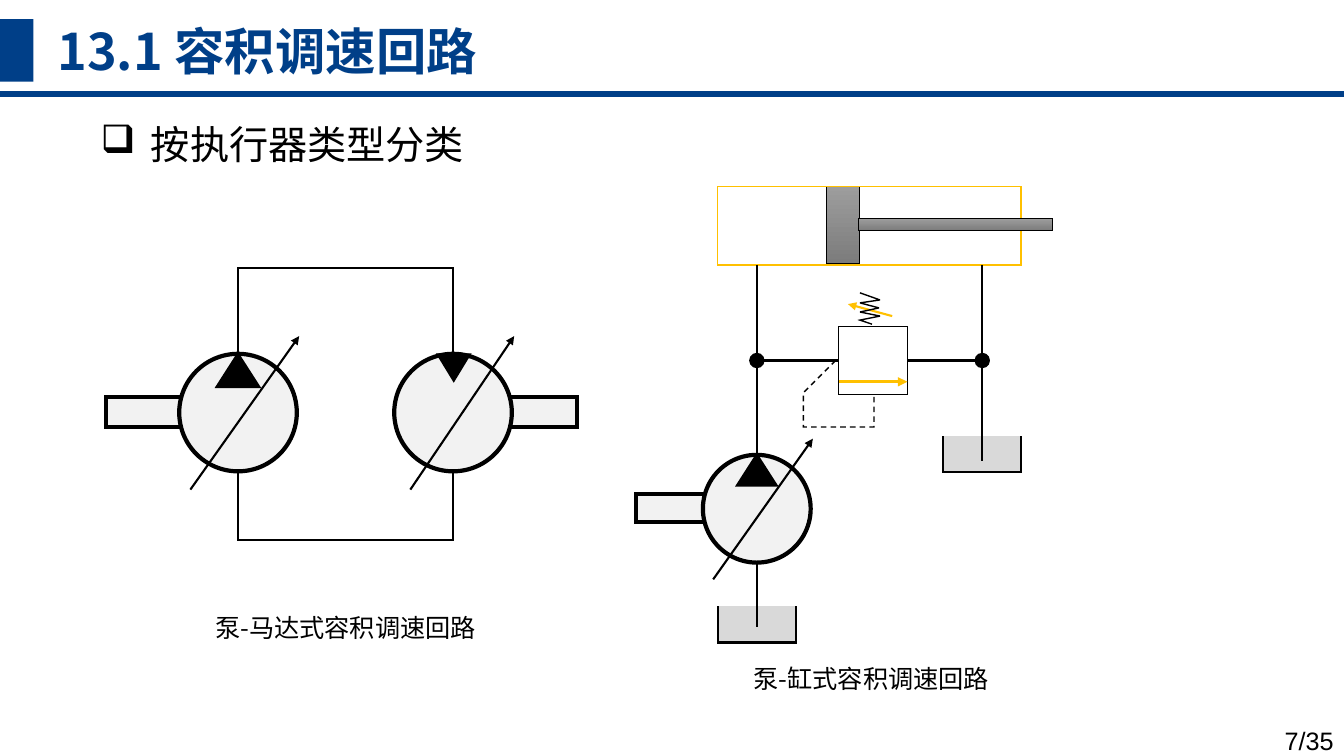
from lxml.etree import SubElement
from pptx import Presentation
from pptx.dml.color import RGBColor
from pptx.enum.dml import MSO_LINE_DASH_STYLE as DASH
from pptx.enum.shapes import MSO_CONNECTOR, MSO_SHAPE
from pptx.enum.text import MSO_AUTO_SIZE as AUTO_SIZE, PP_ALIGN as ALIGN
from pptx.oxml.ns import qn
from pptx.util import Pt

COLORS = {
    "navy": "003F88", "black": "000000", "white": "FFFFFF", "body": "F2F2F2",
    "oil": "D9D9D9", "gold": "FFC000", "steel_light": "9D9D9D", "steel_dark": "7C7C7C",
}
CJK_FONT = "Noto Sans CJK SC"
PUMP = {
    "shaft": (-0.62, 0.365, 0.675, 0.26),
    "triangle": (0.333, 0.015, 0.333, 0.26),
    "rotation": 0,
    "arrow": ((0.095, 1.155), (1.02, -0.15)),
}
MOTOR = {
    "shaft": (0.883, 0.365, 0.675, 0.26),
    "triangle": (0.386, 0.015, 0.24, 0.197),
    "rotation": 180,
    "arrow": ((0.137, 1.155), (1.02, -0.15)),
}


def color(name):
    return RGBColor.from_string(COLORS[name])


def set_line(shape, name, width, arrow=False, dash=None):
    line = shape.line
    line.color.rgb = color(name)
    for attribute, value in {"width": Pt(width), "dash_style": dash}.items():
        setattr(line, attribute, value)
    outline = shape._element.spPr.find(qn("a:ln"))
    SubElement(outline, qn("a:miter"), lim="800000")
    if arrow:
        SubElement(outline, qn("a:tailEnd"), type="triangle")


def finish(shape, fill, line, width, dash=None):
    shape.shadow.inherit = False
    if fill == "steel":
        shape.fill.gradient()
        shape.fill.gradient_angle = 270
        for stop, name in zip(shape.fill.gradient_stops, ("steel_light", "steel_dark")):
            stop.color.rgb = color(name)
    elif fill:
        shape.fill.solid()
        shape.fill.fore_color.rgb = color(fill)
    else:
        shape.fill.background()
    if line:
        set_line(shape, line, width, dash=dash)
    else:
        shape.line.fill.background()
    return shape


def add_block(shapes, kind, box, fill=None, line="black", width=1):
    shape = shapes.add_shape(kind, *map(Pt, box))
    return finish(shape, fill, line, width)


def add_line(shapes, start, end, name="black", width=1.5, arrow=False):
    connector = shapes.add_connector(MSO_CONNECTOR.STRAIGHT, *map(Pt, (*start, *end)))
    set_line(connector, name, width, arrow)
    SubElement(connector._element.spPr, qn("a:effectLst"))
    return connector


def add_path(shapes, points, fill=None, width=1.5, dash=None):
    corners = [(Pt(x), Pt(y)) for x, y in points]
    builder = shapes.build_freeform(*corners[0])
    builder.add_line_segments(corners[1:], close=False)
    return finish(builder.convert_to_shape(), fill, "black", width, dash)


def add_text(slide, box, text, size, name="black", font=CJK_FONT, bold=False,
             align=ALIGN.LEFT, wrap=True, auto_size=AUTO_SIZE.NONE,
             bullet=None, spacing=None):
    frame = slide.shapes.add_textbox(*map(Pt, box)).text_frame
    for attribute, value in {"word_wrap": wrap, "auto_size": auto_size}.items():
        setattr(frame, attribute, value)
    paragraph = frame.paragraphs[0]
    for attribute, value in {"alignment": align, "line_spacing": spacing}.items():
        setattr(paragraph, attribute, value)
    if bullet:
        properties = paragraph._p.get_or_add_pPr()
        properties.set("marL", str(Pt(36)))
        properties.set("indent", str(-Pt(36)))
        SubElement(properties, qn("a:buChar"), char=bullet)
    run = paragraph.add_run()
    run.text = text
    for attribute, value in {"size": Pt(size), "bold": bold, "name": font}.items():
        setattr(run.font, attribute, value)
    run.font.color.rgb = color(name)
    SubElement(run._r.get_or_add_rPr(), qn("a:ea"), typeface=font)


def draw_header(slide, left, top, width):
    add_line(slide.shapes, (left, top + 67), (left + width, top + 67), "navy", 4.5)
    add_block(slide.shapes, MSO_SHAPE.RECTANGLE, (left, top + 13.7, 23.8, 44.6), "navy", None)
    add_text(slide, (left + 34, top + 10.8, 436, 51), "13.1 容积调速回路", 36, "navy",
             bold=True, auto_size=AUTO_SIZE.SHAPE_TO_FIT_TEXT)


def draw_machine(shapes, left, top, size, symbol):
    def place(x, y):
        return left + x * size, top + y * size

    def scale(x, y, width, height):
        return *place(x, y), width * size, height * size

    add_block(shapes, MSO_SHAPE.RECTANGLE, scale(*symbol["shaft"]), "body", width=3)
    add_block(shapes, MSO_SHAPE.OVAL, (left, top, size, size), "body", width=3)
    triangle = add_block(shapes, MSO_SHAPE.ISOSCELES_TRIANGLE, scale(*symbol["triangle"]),
                         "black", width=3)
    triangle.rotation = symbol["rotation"]
    start, end = symbol["arrow"]
    add_line(shapes, place(*start), place(*end), arrow=True)


def draw_tank(shapes, center, top):
    left, right, bottom = center - 28, center + 28, top + 25.7
    add_path(shapes, [(left, top), (left, bottom), (right, bottom), (right, top)], "oil")


def draw_motor_circuit(slide, left, top):
    shapes = slide.shapes.add_group_shape().shapes
    size, pump_left, motor_left, machine_top = 84, left + 52.4, left + 206, top + 61.2
    draw_machine(shapes, pump_left, machine_top, size, PUMP)
    draw_machine(shapes, motor_left, machine_top, size, MOTOR)
    pump_x, motor_x = pump_left + size / 2, motor_left + size / 2
    for port, level in ((machine_top, top), (machine_top + size, top + 194.4)):
        add_path(shapes, [(pump_x, port), (pump_x, level), (motor_x, level), (motor_x, port)])
    add_text(slide, (left + 56.2, top + 242, 230, 29), "泵-马达式容积调速回路", 18,
             align=ALIGN.CENTER)


def draw_relief_valve(shapes, left, top, supply, back):
    size = 49
    level = top + size / 2
    valve = add_block(shapes, MSO_SHAPE.RECTANGLE, (left, top, size, size), "white")
    for pipe, edge, site in ((supply, left, 1), (back, left + size, 3)):
        branch = add_line(shapes, (pipe, level), (edge, level))
        branch.end_connect(valve, site)
        add_block(shapes, MSO_SHAPE.OVAL, (pipe - 5, level - 5, 10, 10), "black")
    add_line(shapes, (left, top + 39.7), (left + size, top + 39.7), "gold", 2.25, True)
    add_line(shapes, (left + 38.2, top - 7.2), (left + 6.6, top - 15.8), "gold", arrow=True)
    pilot = [(-2.2, 24.5), (-25.2, 47.5), (-25.2, 72), (25.2, 72), (25.2, 50.4)]
    spring = [(23.8, -1.4), (15.2, -4.3), (29.5, -7.2), (15.2, -10.1), (28.8, -13),
              (15.2, -16.6), (29.5, -18.7), (15.2, -23.8)]
    for points, dash in ((pilot, DASH.DASH), (spring, None)):
        add_path(shapes, [(left + x, top + y) for x, y in points], width=1, dash=dash)


def draw_cylinder_circuit(slide, left, top):
    shapes = slide.shapes.add_group_shape().shapes
    supply, back, pump_size, pump_top = left + 28, left + 189, 77, top + 191.7
    draw_machine(shapes, supply - pump_size / 2, pump_top, pump_size, PUMP)
    draw_tank(shapes, supply, top + 300)
    draw_tank(shapes, back, top + 178.5)
    for box, fill, line, width in (
        ((78, 0, 23, 55), "steel", "black", 0.5),
        ((0, 0, 216.7, 56), None, "gold", 1),
        ((100.2, 23, 139, 8.6), "steel", "black", 0.5),
    ):
        x, y, *extent = box
        add_block(shapes, MSO_SHAPE.RECTANGLE, (left + x, top + y, *extent), fill, line, width)
    for pipe, start, end in ((supply, top + 56, pump_top),
                             (supply, pump_top + pump_size, top + 315),
                             (back, top + 56, top + 196)):
        add_line(shapes, (pipe, start), (pipe, end))
    draw_relief_valve(shapes, left + 86.5, top + 99.8, supply, back)
    add_text(slide, (left - 7.9, top + 337, 235.4, 29), "泵-缸式容积调速回路", 18,
             align=ALIGN.CENTER)


def draw_circuit_slide(presentation):
    slide = presentation.slides.add_slide(presentation.slide_layouts[6])
    draw_header(slide, 0, 0, 960)
    draw_motor_circuit(slide, 75.6, 191.5)
    draw_cylinder_circuit(slide, 512.6, 133.2)
    add_text(slide, (64.8, 65.5, 277, 52), "按执行器类型分类", 28, wrap=False,
             auto_size=AUTO_SIZE.SHAPE_TO_FIT_TEXT, bullet="❑", spacing=1.5)
    add_text(slide, (874, 514.8, 85.7, 29), "7/35", 18, font="Arial", align=ALIGN.RIGHT,
             auto_size=AUTO_SIZE.SHAPE_TO_FIT_TEXT)


def main():
    presentation = Presentation()
    for attribute, value in {"slide_width": Pt(960), "slide_height": Pt(540)}.items():
        setattr(presentation, attribute, value)
    draw_circuit_slide(presentation)
    presentation.save("out.pptx")


if __name__ == "__main__":
    main()
